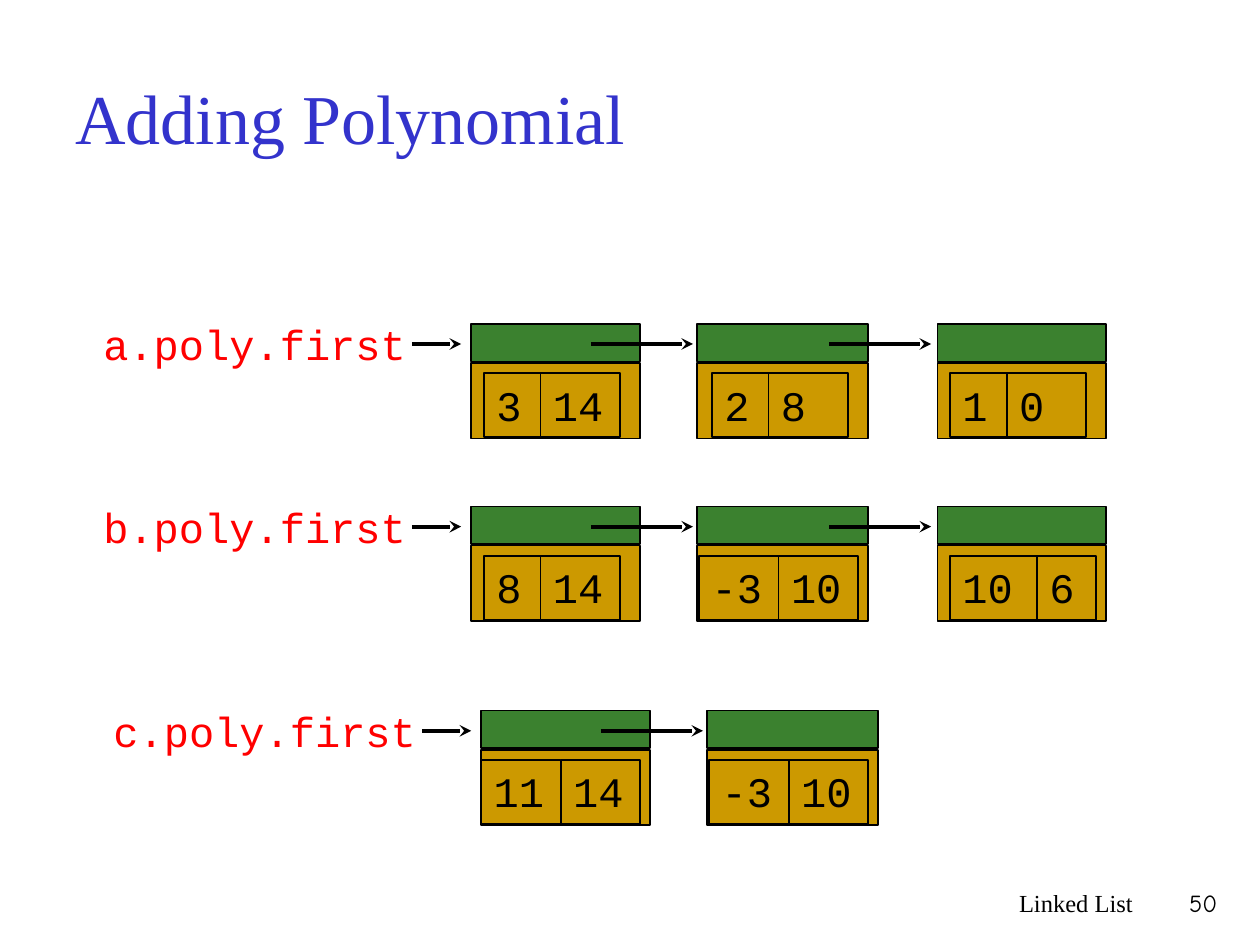
from lxml.etree import SubElement
from pptx import Presentation
from pptx.dml.color import RGBColor
from pptx.enum.shapes import MSO_CONNECTOR, MSO_SHAPE
from pptx.enum.text import MSO_ANCHOR, PP_ALIGN
from pptx.oxml.ns import qn
from pptx.util import Inches, Pt

BLACK = RGBColor(0, 0, 0)
RED = RGBColor(0xFF, 0, 0)
BLUE = RGBColor(0x33, 0x33, 0xCC)
GREEN = RGBColor(0x3B, 0x81, 0x2F)
GOLD = RGBColor(0xCC, 0x99, 0x00)
SERIF, MONO, COMIC = "Times New Roman", "Courier New", "Comic Neue"

# Each list: label, left shift, top, nodes.
# Each node: inset of its first cell, then (text, cell width) for coefficient and exponent.
LISTS = [
    ("a.poly.first", 0, 2.57, [
        (0.10, [("3", 0.45), ("14", 0.63)]),
        (0.12, [("2", 0.45), ("8", 0.63)]),
        (0.10, [("1", 0.45), ("0", 0.63)])]),
    ("b.poly.first", 0, 4.02, [
        (0.10, [("8", 0.45), ("14", 0.63)]),
        (0.02, [("-3", 0.63), ("10", 0.63)]),
        (0.10, [("10", 0.69), ("6", 0.47)])]),
    ("c.poly.first", 0.08, 5.64, [
        (0.00, [("11", 0.63), ("14", 0.63)]),
        (0.02, [("-3", 0.63), ("10", 0.63)])]),
]
NODE_COLUMNS = [(3.74, 1.34), (5.53, 1.36), (7.44, 1.34)]  # left, width
LINK_STARTS = [4.69, 6.58]
LABEL_LEFT, HEAD_START = 0.75, 3.27
HEAD_LENGTH, LINK_LENGTH = 0.39, 0.81
LINK_HEIGHT, BODY_HEIGHT, CELL_HEIGHT = 0.30, 0.60, 0.51
BODY_DROP, CELL_DROP, ARROW_DROP, LABEL_RISE = 0.31, 0.39, 0.16, 0.08


def write(shape, text, size, font, color, align=PP_ALIGN.LEFT,
          anchor=MSO_ANCHOR.TOP, margins=(0.1, 0.05, 0.1, 0.05)):
    frame = shape.text_frame
    frame.word_wrap = True
    frame.vertical_anchor = anchor
    (frame.margin_left, frame.margin_top,
     frame.margin_right, frame.margin_bottom) = map(Inches, margins)
    paragraph = frame.paragraphs[0]
    paragraph.text = text
    paragraph.alignment = align
    paragraph.font.size = Pt(size)
    paragraph.font.name = font
    paragraph.font.color.rgb = color


def add_text(slide, box, *args, **options):
    write(slide.shapes.add_textbox(*map(Inches, box)), *args, **options)


def add_box(slide, left, top, width, height, fill=None):
    shape = slide.shapes.add_shape(
        MSO_SHAPE.RECTANGLE, *map(Inches, (left, top, width, height)))
    shape.shadow.inherit = False
    if fill is None:
        shape.fill.background()
    else:
        shape.fill.solid()
        shape.fill.fore_color.rgb = fill
    shape.line.color.rgb = BLACK
    shape.line.width = Pt(1)
    return shape


def add_arrow(slide, left, y, length):
    arrow = slide.shapes.add_connector(
        MSO_CONNECTOR.STRAIGHT, *map(Inches, (left, y, left + length, y)))
    arrow.line.color.rgb = BLACK
    arrow.line.width = Pt(2.25)
    SubElement(arrow.line._get_or_add_ln(), qn("a:tailEnd"), type="stealth")
    SubElement(arrow._element.spPr, qn("a:effectLst"))


def add_linked_list(slide, label, shift, top, nodes):
    add_text(slide, (LABEL_LEFT + shift, top - LABEL_RISE, 2.69, 0.66),
             label, 24, MONO, RED, margins=(0.07, 0.04, 0.07, 0.04))
    add_arrow(slide, HEAD_START + shift, top + ARROW_DROP, HEAD_LENGTH)
    for (left, width), (inset, cells) in zip(NODE_COLUMNS, nodes):
        left += shift
        add_box(slide, left, top + BODY_DROP, width, BODY_HEIGHT, GOLD)
        add_box(slide, left, top, width, LINK_HEIGHT, GREEN)
        cell_left = left + inset
        for text, cell_width in cells:
            cell = add_box(slide, cell_left, top + CELL_DROP, cell_width, CELL_HEIGHT)
            write(cell, text, 24, MONO, BLACK)
            cell_left += cell_width
    for start in LINK_STARTS[:len(nodes) - 1]:
        add_arrow(slide, start + shift, top + ARROW_DROP, LINK_LENGTH)


def main():
    presentation = Presentation()
    presentation.slide_width, presentation.slide_height = Inches(10), Inches(7.5)
    slide = presentation.slides.add_slide(presentation.slide_layouts[6])
    add_text(slide, (0.5, 0.3, 9, 1.25), "Adding Polynomial", 40, SERIF, BLUE,
             anchor=MSO_ANCHOR.MIDDLE)
    for linked_list in LISTS:
        add_linked_list(slide, *linked_list)
    add_text(slide, (5.92, 7, 3.17, 0.5), "Linked List", 14, SERIF, BLACK, PP_ALIGN.RIGHT)
    add_text(slide, (9.08, 7, 0.68, 0.5), "50", 14, COMIC, BLACK, PP_ALIGN.RIGHT)
    presentation.save("out.pptx")


if __name__ == "__main__":
    main()
